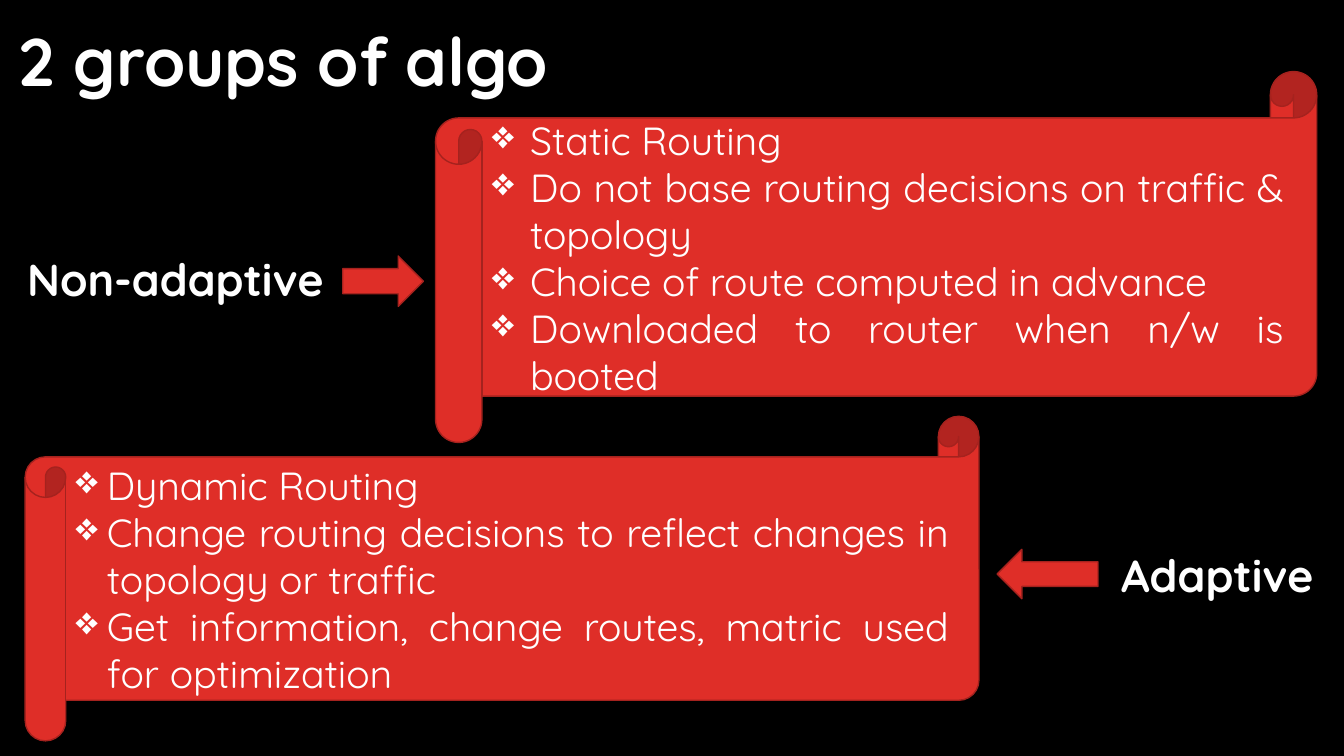
"""Build a slide on the two groups of routing algorithms."""
import pptx
import pptx.util
import pptx.dml.color
import pptx.enum.shapes
import pptx.enum.text
import pptx.oxml.ns
import lxml.etree

Inches = pptx.util.Inches
Pt = pptx.util.Pt
Kind = pptx.enum.shapes.MSO_SHAPE
Align = pptx.enum.text.PP_ALIGN
Anchor = pptx.enum.text.MSO_ANCHOR

THEME = {
    "back": "000000", "fill": "DF2E28", "edge": "A5221E", "text": "FFFFFF",
    "font": "Quicksand", "title": 48, "label": 32, "body": 28,
}

SCROLLS = [
    ((4.32, 0.71, 8.74, 3.68), 0.38, [
        "Static Routing",
        "Do not base routing decisions on traffic & topology",
        "Choice of route computed in advance",
        "Downloaded to router when n/w is booted",
    ]),
    ((0.25, 4.13, 9.46, 3.22), 0.31, [
        "Dynamic Routing",
        "Change routing decisions to reflect changes in topology or traffic",
        "Get information, change routes, matric used for optimization",
    ]),
]
LABELS = [
    ((0.09, 0.14, 6.8, 0.91), "2 groups of algo", "title"),
    ((0.17, 2.45, 3.35, 0.64), "Non-adaptive", "label"),
    ((11.02, 5.38, 2.31, 0.64), "Adaptive", "label"),
]
ARROWS = [
    ((3.4, 2.54, 0.8, 0.5), Kind.RIGHT_ARROW),
    ((9.89, 5.45, 1, 0.49), Kind.LEFT_ARROW),
]


def color(name):
    return pptx.dml.color.RGBColor.from_string(THEME[name])


def style(para, size, bold=False):
    font = para.font
    font.name = THEME["font"]
    font.size = Pt(THEME[size])
    font.bold = bold
    font.color.rgb = color("text")


def bullet(para, indent):
    props = para._p.get_or_add_pPr()
    props.set("marL", str(Inches(indent)))
    props.set("indent", str(-Inches(indent)))
    mark = lxml.etree.SubElement(props, pptx.oxml.ns.qn("a:buChar"))
    mark.set("char", "❖")


def add_block(slide, box, kind):
    shape = slide.shapes.add_shape(kind, *map(Inches, box))
    shape.shadow.inherit = False
    shape.fill.solid()
    shape.fill.fore_color.rgb = color("fill")
    shape.line.color.rgb = color("edge")
    shape.line.width = Pt(1)
    return shape


def add_scroll(slide, box, indent, lines):
    frame = add_block(slide, box, Kind.HORIZONTAL_SCROLL).text_frame
    frame.word_wrap = True
    frame.vertical_anchor = Anchor.MIDDLE
    for row, line in enumerate(lines):
        para = frame.add_paragraph() if row else frame.paragraphs[0]
        para.text = line
        para.alignment = Align.JUSTIFY
        bullet(para, indent)
        style(para, "body")


def add_label(slide, box, text, size):
    frame = slide.shapes.add_textbox(*map(Inches, box)).text_frame
    frame.word_wrap = True
    frame.auto_size = pptx.enum.text.MSO_AUTO_SIZE.SHAPE_TO_FIT_TEXT
    para = frame.paragraphs[0]
    para.text = text
    style(para, size, True)


def main():
    deck = pptx.Presentation()
    deck.slide_width, deck.slide_height = Inches(13.33), Inches(7.5)
    slide = deck.slides.add_slide(deck.slide_layouts[6])
    slide.background.fill.solid()
    slide.background.fill.fore_color.rgb = color("back")
    for scroll in SCROLLS:
        add_scroll(slide, *scroll)
    for label in LABELS:
        add_label(slide, *label)
    for arrow in ARROWS:
        add_block(slide, *arrow)
    deck.save("out.pptx")


if __name__ == "__main__":
    main()
